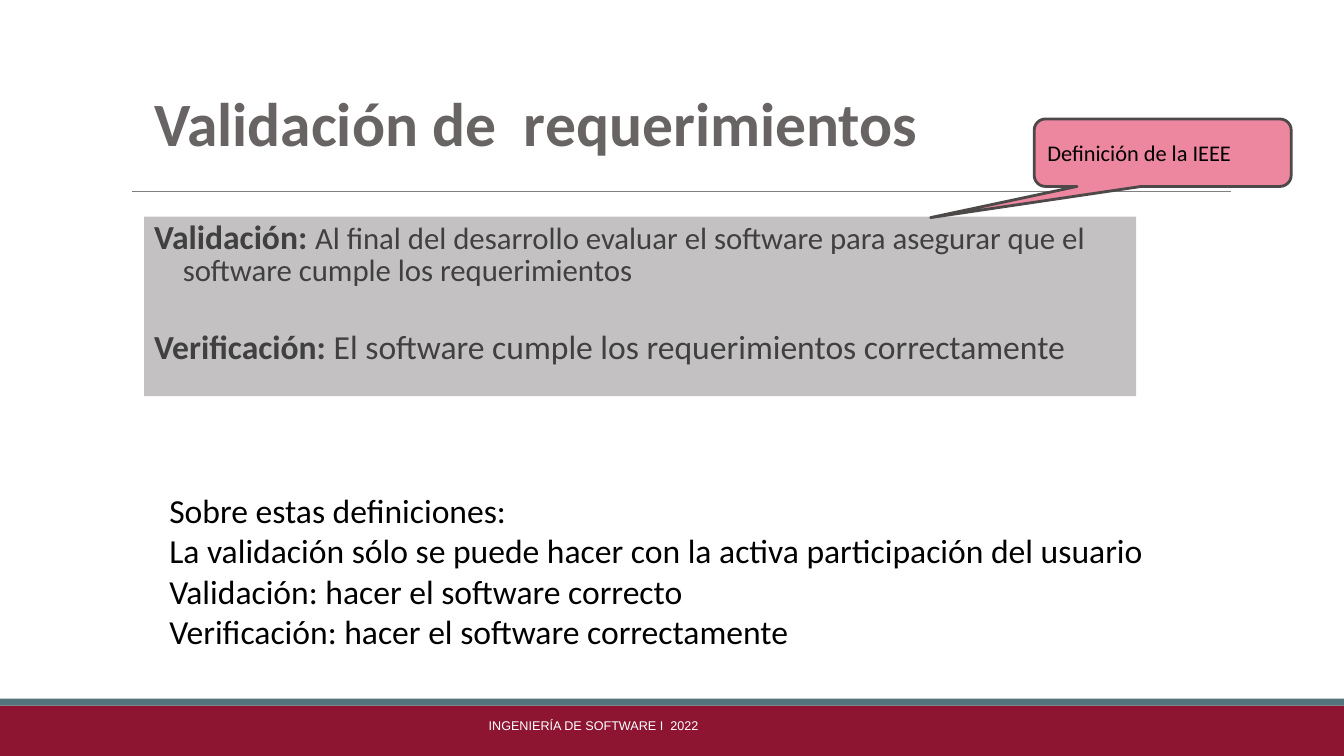
"""Build a slide that defines validation and verification of requirements."""
from lxml.etree import SubElement
from pptx import Presentation
from pptx.dml.color import RGBColor
from pptx.enum.shapes import MSO_CONNECTOR, MSO_SHAPE
from pptx.enum.text import MSO_ANCHOR, MSO_AUTO_SIZE, PP_ALIGN
from pptx.oxml.ns import qn
from pptx.util import Pt

CRIMSON = RGBColor(0x8D, 0x15, 0x32)
TEAL = RGBColor(0x54, 0x74, 0x7B)
RULE_GRAY = RGBColor(0x80, 0x80, 0x80)
PANEL_GRAY = RGBColor(0xC3, 0xC1, 0xC1)
TITLE_GRAY = RGBColor(0x69, 0x64, 0x64)
TEXT_GRAY = RGBColor(0x40, 0x40, 0x40)
PINK = RGBColor(0xED, 0x86, 0x9F)
OUTLINE_GRAY = RGBColor(0x4D, 0x49, 0x49)
BLACK = RGBColor(0, 0, 0)
WHITE = RGBColor(0xFF, 0xFF, 0xFF)

DEFINITIONS = [
    ("Validación: ", "Al final del desarrollo evaluar el software para asegurar "
     "que el software cumple los requerimientos", 22, 0),
    ("Verificación:", " El software cumple los requerimientos correctamente", 24, 32),
]
REMARKS = [
    "Sobre estas definiciones:",
    "La validación sólo se puede hacer con la activa participación del usuario",
    "Validación: hacer el software correcto",
    "Verificación: hacer el software correctamente",
]


def add_span(para, text, size, color, bold=False, font="Calibri"):
    """Add one formatted run to a paragraph."""
    span = para.add_run()
    span.text = text
    span.font.name = font
    span.font.size = Pt(size)
    span.font.bold = bold
    span.font.color.rgb = color


def prepare_frame(shape, anchor=MSO_ANCHOR.TOP):
    """Make a text frame wrap at a fixed size and return it."""
    frame = shape.text_frame
    frame.word_wrap = True
    frame.auto_size = MSO_AUTO_SIZE.NONE
    frame.vertical_anchor = anchor
    return frame


def add_lines(page, box, lines, size, color, font="Calibri"):
    """Add a text box with one paragraph per line."""
    frame = prepare_frame(page.shapes.add_textbox(*map(Pt, box)))
    for index, line in enumerate(lines):
        para = frame.add_paragraph() if index else frame.paragraphs[0]
        add_span(para, line, size, color, font=font)


def add_filled(page, kind, box, fill):
    """Add a flat shape without an outline."""
    shape = page.shapes.add_shape(kind, *map(Pt, box))
    shape.shadow.inherit = False
    shape.fill.solid()
    shape.fill.fore_color.rgb = fill
    shape.line.fill.background()
    return shape


def add_rule(page, left, right, top):
    """Add the thin line under the title."""
    rule = page.shapes.add_connector(
        MSO_CONNECTOR.STRAIGHT, Pt(left), Pt(top), Pt(right), Pt(top))
    rule.line.color.rgb = RULE_GRAY
    rule.line.width = Pt(0.5)
    SubElement(rule.element.spPr, qn("a:effectLst"))


def set_title(page, text, box):
    """Place and format the title placeholder."""
    title = page.shapes.title
    title.left, title.top, title.width, title.height = map(Pt, box)
    para = prepare_frame(title, MSO_ANCHOR.MIDDLE).paragraphs[0]
    para.alignment = PP_ALIGN.LEFT
    para.line_spacing = 0.85
    add_span(para, text, 44, TITLE_GRAY, bold=True)


def add_definitions(page, box):
    """Add the gray panel with hanging definitions."""
    frame = prepare_frame(add_filled(page, MSO_SHAPE.RECTANGLE, box, PANEL_GRAY))
    for index, (term, meaning, size, gap) in enumerate(DEFINITIONS):
        para = frame.add_paragraph() if index else frame.paragraphs[0]
        para.alignment = PP_ALIGN.LEFT
        para.line_spacing = 0.85
        para.space_before = Pt(gap)
        properties = para._p.get_or_add_pPr()
        properties.set("marL", str(Pt(20.5)))
        properties.set("indent", str(Pt(-20.5)))
        add_span(para, term, 24, TEXT_GRAY, bold=True)
        add_span(para, meaning, size, TEXT_GRAY)


def add_callout(page, text, box):
    """Add the pink callout that points at the definitions."""
    callout = add_filled(page, MSO_SHAPE.ROUNDED_RECTANGULAR_CALLOUT, box, PINK)
    for index, value in enumerate((-0.903, 0.962, 0.167)):
        callout.adjustments[index] = value
    callout.line.color.rgb = OUTLINE_GRAY
    callout.line.width = Pt(2)
    para = prepare_frame(callout, MSO_ANCHOR.MIDDLE).paragraphs[0]
    para.alignment = PP_ALIGN.LEFT
    add_span(para, text, 16, BLACK)


def main():
    """Build and save the deck."""
    deck = Presentation()
    deck.slide_width, deck.slide_height = Pt(960), Pt(540)
    page = deck.slides.add_slide(deck.slide_layouts[5])
    add_filled(page, MSO_SHAPE.RECTANGLE, (0, 504, 960, 36), CRIMSON)
    add_filled(page, MSO_SHAPE.RECTANGLE, (0, 499, 960, 5), TEAL)
    add_rule(page, 94.3, 879, 136.8)
    add_definitions(page, (103, 154.8, 708.5, 128.2))
    add_lines(page, (342, 509, 371, 29), ["INGENIERÍA DE SOFTWARE I  2022"],
              9, WHITE, "Arial")
    set_title(page, "Validación de  requerimientos", (103, 41, 601, 100))
    add_lines(page, (113.8, 346.3, 802, 122.4), REMARKS, 24, BLACK)
    add_callout(page, "Definición de la IEEE", (738.7, 85, 183.6, 48.2))
    deck.save("out.pptx")


if __name__ == "__main__":
    main()
